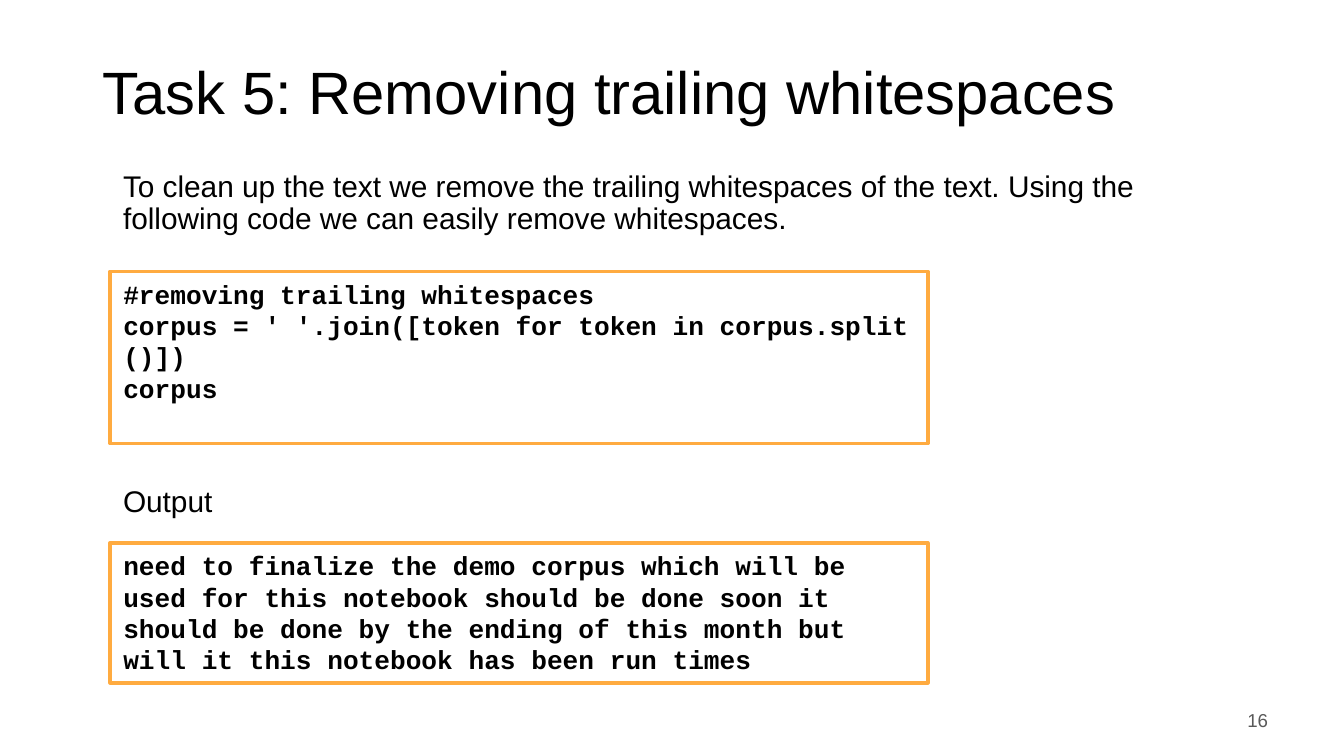
from dataclasses import dataclass, field

from pptx import Presentation
from pptx.dml.color import RGBColor
from pptx.enum.shapes import MSO_SHAPE as Preset
from pptx.enum.text import MSO_ANCHOR as Anchor, PP_ALIGN as Align
from pptx.shapes.autoshape import Shape
from pptx.slide import Slide
from pptx.util import Pt

BLACK = RGBColor(0x00, 0x00, 0x00)
WHITE = RGBColor(0xFF, 0xFF, 0xFF)
GRAY = RGBColor(0x59, 0x59, 0x59)
ORANGE = RGBColor(0xFF, 0xAB, 0x40)
NO_BREAK_SPACE = chr(160)

BODY_FORMAT = {"line_spacing": 0.9}
TEXT_MARGINS = (5.4, 2.7, 5.4, 2.7)
CODE_MARGINS = (7.2, 3.6, 7.2, 3.6)


@dataclass
class TextBlock:
    """Text in a box; bounds are left, top, width and height in points."""
    bounds: tuple[float, float, float, float]
    lines: list[str]
    size: float
    font: str = "Arial"
    bold: bool = False
    color: RGBColor = BLACK
    anchor: Anchor = Anchor.TOP
    margins: tuple[float, float, float, float] = TEXT_MARGINS
    paragraph_format: dict = field(default_factory=dict)
    gap: float = 0
    framed: bool = False


def code_block(top: float, height: float, lines: list[str]) -> TextBlock:
    return TextBlock((59, top, 438, height), lines, 14, font="Courier New",
                     bold=True, margins=CODE_MARGINS,
                     paragraph_format={"alignment": Align.LEFT}, framed=True)


def unbroken(line: str) -> str:
    """Keep code from wrapping at its spaces."""
    return line.replace(" ", NO_BREAK_SPACE)


BLOCKS = [
    TextBlock((49.7, 21.6, 620.6, 59), ["Task 5: Removing trailing whitespaces"], 32,
              anchor=Anchor.MIDDLE, paragraph_format=BODY_FORMAT),
    TextBlock((49.7, 89.3, 620.6, 292.3),
              ["To clean up the text we remove the trailing whitespaces of the text. "
               "Using the following code we can easily remove whitespaces.",
               "Output"],
              16, margins=(16.2, 2.7, 5.4, 2.7), paragraph_format=BODY_FORMAT, gap=134.5),
    code_block(145.4, 92.2, [
        unbroken("#removing trailing whitespaces"),
        unbroken("corpus = ' '.join([token for token in corpus.split()])"),
        "corpus",
    ]),
    code_block(290.9, 74.9, [
        "need to finalize the demo corpus which will be used for this notebook "
        "should be done soon it should be done by the ending of this month "
        "but will it this notebook has been run times",
    ]),
    TextBlock((522.7, 375.1, 162, 21.6), ["16"], 10, color=GRAY, anchor=Anchor.MIDDLE,
              paragraph_format={"alignment": Align.RIGHT}),
]


def set_attributes(target: object, values: dict) -> None:
    for name, value in values.items():
        setattr(target, name, value)


def add_box(slide: Slide, block: TextBlock) -> Shape:
    bounds = [Pt(length) for length in block.bounds]
    if not block.framed:
        return slide.shapes.add_textbox(*bounds)
    shape = slide.shapes.add_shape(Preset.RECTANGLE, *bounds)
    shape.shadow.inherit = False
    shape.fill.solid()
    shape.fill.fore_color.rgb = WHITE
    shape.line.color.rgb = ORANGE
    shape.line.width = Pt(2)
    return shape


def draw_block(slide: Slide, block: TextBlock) -> None:
    frame = add_box(slide, block).text_frame
    sides = ("margin_left", "margin_top", "margin_right", "margin_bottom")
    margins = dict(zip(sides, map(Pt, block.margins)))
    set_attributes(frame, {"word_wrap": True, "vertical_anchor": block.anchor} | margins)
    for index, line in enumerate(block.lines):
        paragraph = frame.add_paragraph() if index else frame.paragraphs[0]
        space = Pt(block.gap if index else 0)
        set_attributes(paragraph, block.paragraph_format | {"space_before": space})
        run = paragraph.add_run()
        run.text = line
        set_attributes(run.font, {"name": block.font, "size": Pt(block.size),
                                  "bold": block.bold})
        run.font.color.rgb = block.color


def main() -> None:
    presentation = Presentation()
    set_attributes(presentation, {"slide_width": Pt(720), "slide_height": Pt(405)})
    slide = presentation.slides.add_slide(presentation.slide_layouts[6])
    for block in BLOCKS:
        draw_block(slide, block)
    presentation.save("out.pptx")


if __name__ == "__main__":
    main()
